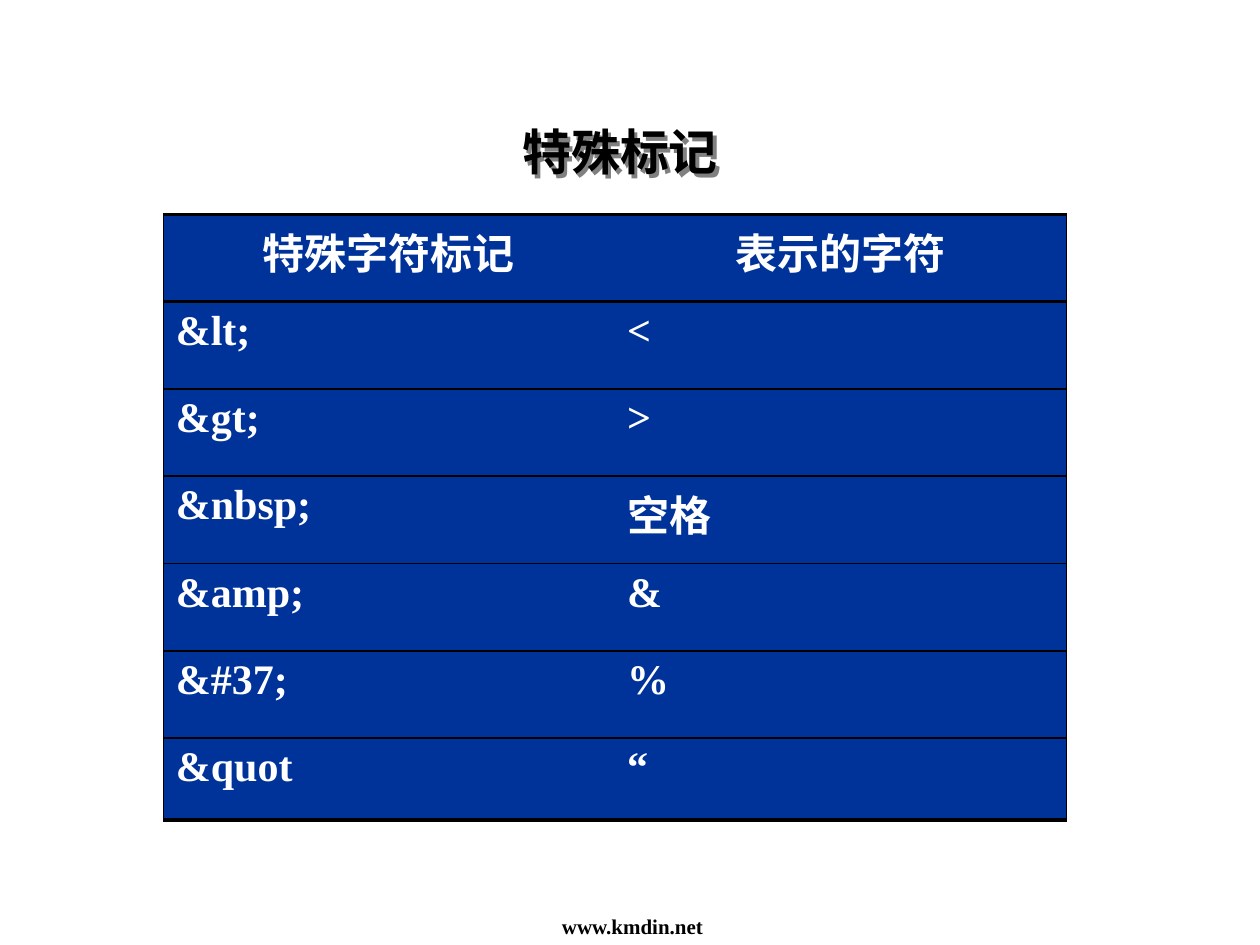
import pptx
import pptx.dml.color
import pptx.enum.text
import pptx.oxml
import pptx.oxml.ns
import pptx.util
from pptx.util import Cm, Pt

TITLE = "特殊标记"
FOOTER = " www.kmdin.net"
ROWS = [
    ("特殊字符标记", "表示的字符"),
    ("&lt;", "<"),
    ("&gt;", ">"),
    ("&nbsp;", "空格"),
    ("&amp;", "&"),
    ("&#37;", "%"),
    ("&quot", "“"),
]
LATIN, CHINESE = "Times New Roman", "Noto Sans CJK SC"
BLACK, WHITE, BLUE, GRAY = "000000", "FFFFFF", "003399", "808080"
COLUMN_WIDTH, ROW_HEIGHT, LAST_HEIGHT = Cm(9.1), Cm(1.76), Cm(1.65)
CENTER = pptx.enum.text.PP_ALIGN.CENTER
LEFT = pptx.enum.text.PP_ALIGN.LEFT
NAMESPACE = pptx.oxml.ns.nsdecls("a")


def color(hex_code):
    return pptx.dml.color.RGBColor.from_string(hex_code)


def add_xml(parent, xml):
    parent.append(pptx.oxml.parse_xml(xml))


def style(paragraph, size, hex_code, alignment, latin=LATIN):
    paragraph.alignment = alignment
    font = paragraph.font
    font.size, font.bold, font.name = Pt(size), True, latin
    font.color.rgb = color(hex_code)
    add_xml(font._element, f'<a:ea {NAMESPACE} typeface="{CHINESE}"/>')


def set_borders(cell, widths):
    properties = cell._tc.get_or_add_tcPr()
    for position, (side, width) in enumerate(widths.items()):
        paint = (f'<a:solidFill><a:srgbClr val="{BLACK}"/></a:solidFill>'
                 if width else "<a:noFill/>")
        line = pptx.oxml.parse_xml(
            f'<a:ln{side} {NAMESPACE} w="{Pt(width)}">{paint}</a:ln{side}>')
        properties.insert(position, line)


def add_title(slide):
    title = slide.shapes.title
    title.left, title.top, title.width, title.height = Cm(9.1), Cm(1.93), Cm(6.8), Cm(2)
    outline = title._element.spPr
    add_xml(outline, f'<a:prstGeom {NAMESPACE} prst="roundRect"><a:avLst/></a:prstGeom>')
    title.fill.background()
    title.line.fill.background()
    add_xml(outline,
            f'<a:effectLst {NAMESPACE}><a:outerShdw dist="35900" dir="2700000">'
            f'<a:srgbClr val="{GRAY}"/></a:outerShdw></a:effectLst>')
    frame = title.text_frame
    frame.text = TITLE
    frame.vertical_anchor = pptx.enum.text.MSO_ANCHOR.MIDDLE
    frame.margin_left = frame.margin_right = Cm(0.05)
    frame.margin_top = frame.margin_bottom = Cm(0.03)
    heading = frame.paragraphs[0]
    heading.line_spacing = 1.2
    style(heading, 28, BLACK, CENTER, CHINESE)


def add_marks(slide):
    last = len(ROWS) - 1
    height = ROW_HEIGHT * last + LAST_HEIGHT
    table = slide.shapes.add_table(
        len(ROWS), 2, Cm(3.29), Cm(4.32), COLUMN_WIDTH * 2, height).table
    for column in table.columns:
        column.width = COLUMN_WIDTH
    for r, row in enumerate(ROWS):
        table.rows[r].height = LAST_HEIGHT if r == last else ROW_HEIGHT
        for c, text in enumerate(row):
            cell = table.cell(r, c)
            cell.text = text
            cell.fill.solid()
            cell.fill.fore_color.rgb = color(BLUE)
            style(cell.text_frame.paragraphs[0], 24, WHITE, LEFT if r else CENTER)
            set_borders(cell, {
                "L": 0 if c else 0.25,
                "R": 0.25 if c else 0,
                "T": 2 if r < 2 else 1,
                "B": 2 if r in (0, last) else 1,
            })


def add_footer(slide, width):
    frame = slide.shapes.add_textbox(0, Cm(18.29), width, Cm(0.76)).text_frame
    frame.word_wrap = True
    frame.text = FOOTER
    style(frame.paragraphs[0], 12, BLACK, CENTER)


def main():
    deck = pptx.Presentation()
    deck.slide_width, deck.slide_height = Cm(25.4), Cm(19.05)
    slide = deck.slides.add_slide(deck.slide_layouts[5])
    add_title(slide)
    add_marks(slide)
    add_footer(slide, deck.slide_width)
    deck.save("out.pptx")


if __name__ == "__main__":
    main()
